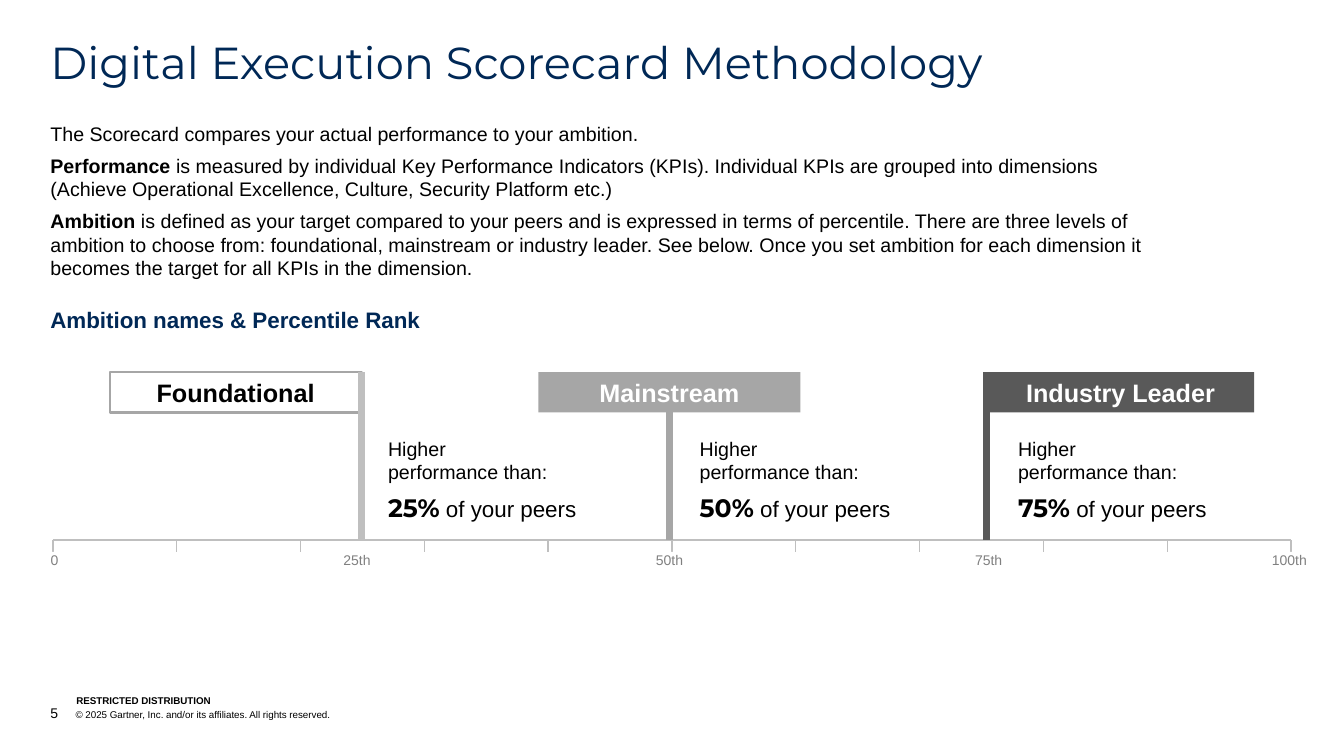
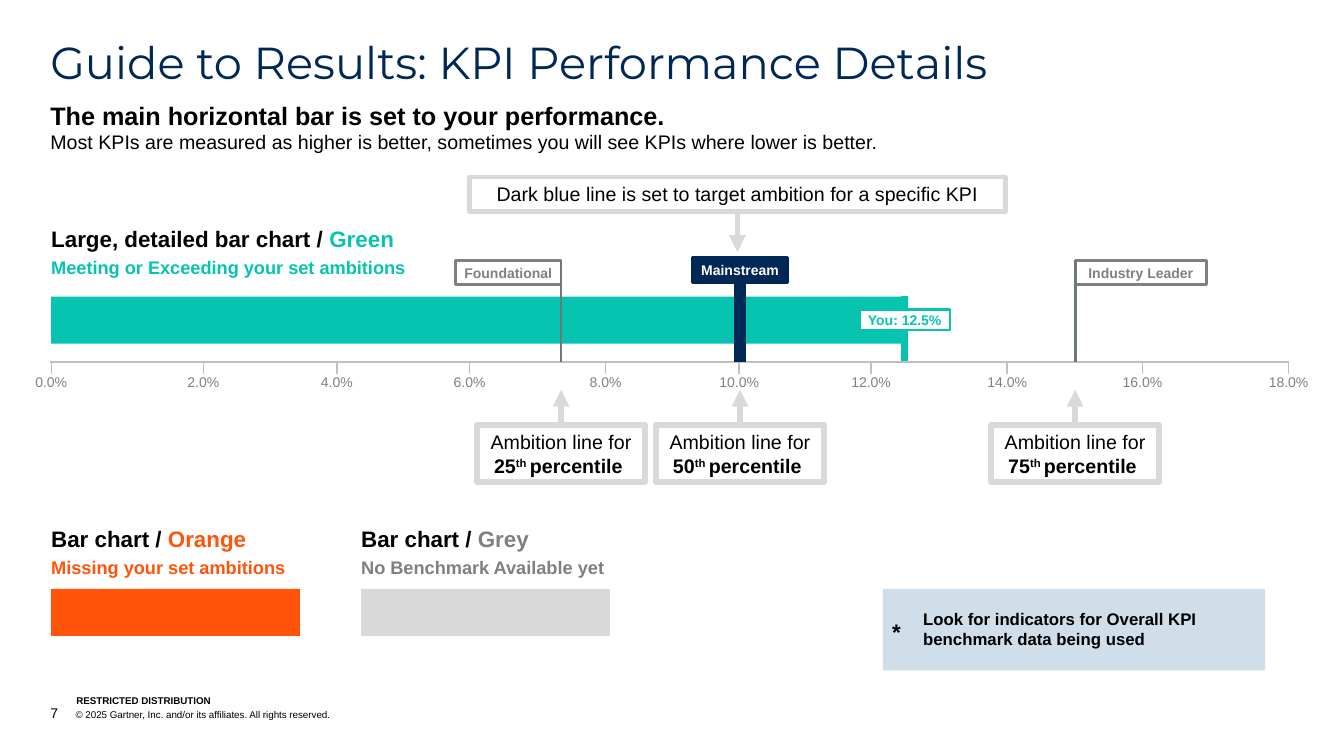
from collections import namedtuple
from copy import deepcopy

from lxml.etree import SubElement
from pptx import Presentation
from pptx.dml.color import RGBColor
from pptx.enum.shapes import MSO_CONNECTOR, MSO_SHAPE
from pptx.enum.text import MSO_ANCHOR as Anchor, PP_ALIGN as Align
from pptx.oxml.ns import qn
from pptx.util import Inches, Pt

SLIDE_WIDTH, SLIDE_HEIGHT = Inches(13.333), Inches(7.5)
COLUMN, ROW = SLIDE_WIDTH / 160, SLIDE_HEIGHT / 90
MARGIN = 6

BODY_FONT, TITLE_FONT = "Arial", "Montserrat"
BLACK, WHITE, NAVY = "000000", "FFFFFF", "002856"
GREEN, ORANGE, PALE_BLUE = "06C4B0", "FF540A", "D0DEEA"
CHARCOAL, SLATE, GREY = "595959", "6F7878", "808080"
MID_GREY, AXIS_GREY, LIGHT_GREY = "A6A6A6", "BFBFBF", "D9D9D9"

BAR_HEIGHT = 5.6
TICK_HEIGHT = 1.4

# Boxes are measured in grid columns and rows.
Box = namedtuple("Box", "left top width height")
Flag = namedtuple("Flag", "label pole width share fill border pole_color text_color")


def color(hex_string):
    return RGBColor.from_string(hex_string)


def to_emu(box):
    return (round(box.left * COLUMN), round(box.top * ROW),
            round(box.width * COLUMN), round(box.height * ROW))


def style_run(run, size, font, text_color, bold, baseline=0):
    run.font.size, run.font.name, run.font.bold = Pt(size), font, bold
    run.font.color.rgb = color(text_color)
    if baseline:
        run.font._element.set("baseline", str(baseline * 1000))


def write(shape, *paragraphs, size=14, font=BODY_FONT, text_color=BLACK, bold=False,
          align=Align.LEFT, anchor=Anchor.TOP, insets=(0, 0.05, 0, 0.05),
          line_spacing=None, hanging=0):
    """Fill a shape; a paragraph is a string or a list of strings and (text, format) runs."""
    frame = shape.text_frame
    frame.word_wrap, frame.vertical_anchor = True, anchor
    (frame.margin_left, frame.margin_top,
     frame.margin_right, frame.margin_bottom) = map(Inches, insets)
    base = dict(size=size, font=font, text_color=text_color, bold=bold)
    for index, content in enumerate(paragraphs):
        paragraph = frame.add_paragraph() if index else frame.paragraphs[0]
        paragraph.alignment = align
        if index:
            paragraph.space_before = Pt(6)
        if line_spacing:
            paragraph.line_spacing = line_spacing
        if hanging:
            properties = paragraph._p.get_or_add_pPr()
            properties.set("marL", str(Inches(hanging)))
            properties.set("indent", str(-Inches(hanging)))
        for item in [content] if isinstance(content, str) else content:
            text, changes = (item, {}) if isinstance(item, str) else item
            for line_index, line in enumerate(text.split("\n")):
                if line_index:
                    paragraph.add_line_break()
                    paragraph._p[-1].append(deepcopy(run._r.rPr))
                run = paragraph.add_run()
                run.text = line
                style_run(run, **{**base, **changes})


def add_text(slide, box, *paragraphs, **text_format):
    write(slide.shapes.add_textbox(*to_emu(box)), *paragraphs, **text_format)


def add_box(slide, box, *paragraphs, fill=WHITE, border=None, border_width=2, **text_format):
    shape = slide.shapes.add_shape(MSO_SHAPE.RECTANGLE, *to_emu(box))
    shape.shadow.inherit = False
    shape.fill.solid()
    shape.fill.fore_color.rgb = color(fill)
    if border:
        shape.line.color.rgb = color(border)
        shape.line.width = Pt(border_width)
    else:
        shape.line.fill.background()
    if paragraphs:
        write(shape, *paragraphs, **text_format)
    return shape


def add_line(slide, start, end, line_color, width=1, joined=None, arrow=False):
    """Draw a line between two grid points; joined is the (shape, side) it starts from."""
    points = [round(value * unit) for point in (start, end)
              for value, unit in zip(point, (COLUMN, ROW))]
    line = slide.shapes.add_connector(MSO_CONNECTOR.STRAIGHT, *points)
    line.line.color.rgb = color(line_color)
    line.line.width = Pt(width)
    if arrow:
        SubElement(line.line._get_or_add_ln(), qn("a:tailEnd"), type="triangle")
    SubElement(line._element.spPr, qn("a:effectLst"))
    if joined:
        line.begin_connect(*joined)


def start_slide(presentation, title, number):
    """Add a blank slide with the shared title and footer."""
    slide = presentation.slides.add_slide(presentation.slide_layouts[6])
    flush = dict(insets=(0, 0, 0, 0))
    add_text(slide, Box(MARGIN, 4.8, 148, 5.9), title, size=32, font=TITLE_FONT,
             text_color=NAVY, line_spacing=0.9, **flush)
    add_text(slide, Box(9.1, 82.7, 30.4, 1.4), "RESTRICTED DISTRIBUTION",
             size=7, bold=True, anchor=Anchor.BOTTOM, **flush)
    add_text(slide, Box(MARGIN, 83.9, 96, 2),
             [(str(number), dict(size=10)),
              "\t© 2025 Gartner, Inc. and/or its affiliates. All rights reserved."],
             size=7, anchor=Anchor.BOTTOM, hanging=0.25, **flush)
    return slide


def draw_scale(slide, box, ticks, labels):
    """Draw an axis on the box's top edge; labels are (offset, text) pairs."""
    axis_end = box.left + box.width
    add_line(slide, (box.left, box.top), (axis_end, box.top), AXIS_GREY)
    for tick in ticks:
        x = box.left + tick
        add_line(slide, (x, box.top + TICK_HEIGHT), (x, box.top), AXIS_GREY)
    for offset, text in labels:
        label_box = Box(box.left + offset - 2.8, box.top + TICK_HEIGHT, 5.6,
                        box.height - TICK_HEIGHT)
        add_box(slide, label_box, text, size=10, text_color=GREY,
                align=Align.CENTER, insets=(0, 0, 0, 0))


def draw_flag(slide, flag, top, height, axis, size, pole_width):
    """Hang a flag on its pole: share 1 ends at the pole, 0.5 is centred, 0 starts there."""
    box = Box(flag.pole - flag.share * flag.width, top, flag.width, height)
    shape = add_box(slide, box, flag.label, fill=flag.fill, border=flag.border,
                    size=size, text_color=flag.text_color, bold=True,
                    align=Align.CENTER, anchor=Anchor.MIDDLE)
    centred = flag.share == 0.5
    add_line(slide, (flag.pole, top + height if centred else top), (flag.pole, axis),
             flag.pole_color, pole_width, joined=(shape, 2) if centred else None)


def draw_peer_share(slide, box, percent):
    add_text(slide, Box(box.left, box.top + 4.5, box.width, 5.4),
             [(percent, dict(size=18, font=TITLE_FONT, bold=True)), " of your peers"],
             size=16, anchor=Anchor.MIDDLE, line_spacing=2, insets=(0, 0, 0, 0))
    add_text(slide, Box(box.left, box.top, 24, 6.8), "Higher\nperformance than:")


def draw_legend(slide, box, heading, color_name, caption, text_color, bar_color):
    """Put heading and caption at the top of the box and a bar at its bottom."""
    bar_top = box.top + box.height - BAR_HEIGHT
    add_box(slide, Box(box.left, bar_top, box.width, BAR_HEIGHT), fill=bar_color)
    add_text(slide, Box(box.left, box.top, 43, 4.4),
             [heading + " / ", (color_name, dict(text_color=text_color))],
             size=16, bold=True)
    add_text(slide, Box(box.left, box.top + 3.75, 48, 3.8), caption,
             size=13, bold=True, text_color=text_color)


def draw_ambition_note(slide, box, percentile, tip):
    shape = add_box(slide, box,
                    ["Ambition line for ", (percentile, dict(bold=True)),
                     ("th ", dict(bold=True, baseline=30)),
                     ("percentile ", dict(bold=True))],
                    border=LIGHT_GREY, border_width=4.25, align=Align.CENTER)
    middle = box.left + box.width / 2
    add_line(slide, (middle, box.top), (middle, tip), LIGHT_GREY, 4,
             joined=(shape, 0), arrow=True)


def draw_target_note(slide, box, tip):
    shape = add_box(slide, box, "Dark blue line is set to target ambition for a specific KPI",
                    border=LIGHT_GREY, border_width=3, align=Align.CENTER)
    middle = box.left + box.width / 2
    add_line(slide, (middle, box.top + box.height), (middle, tip), LIGHT_GREY, 4,
             joined=(shape, 2), arrow=True)


def draw_indicator_note(slide, box):
    add_box(slide, box, "Look for indicators for Overall KPI benchmark data being used",
            fill=PALE_BLUE, size=12, bold=True, insets=(0.4, 0.2, 0.3, 0.2))
    add_text(slide, Box(box.left + 1.1, box.top + 2.9, 1.9, 4.4), "*", size=16, bold=True)


def build_methodology(presentation):
    slide = start_slide(presentation, "Digital Execution Scorecard Methodology", 5)
    strong = dict(bold=True)
    add_text(
        slide, Box(MARGIN, 13.9, 137.6, 20.2),
        "The Scorecard compares your actual performance to your ambition.",
        [("Performance", strong),
         " is measured by individual Key Performance Indicators (KPIs). Individual KPIs are "
         "grouped into dimensions\n(Achieve Operational Excellence, Culture, Security "
         "Platform etc.)"],
        [("Ambition", strong),
         " is defined as your target compared to your peers and is expressed in terms of "
         "percentile. There are three levels of ambition to choose from: foundational, "
         "mainstream or industry leader. See below. Once you set ambition for each dimension "
         "it becomes the target for all KPIs in the dimension."])
    add_text(slide, Box(MARGIN, 35.9, 56.4, 8.3), "Ambition names & Percentile Rank",
             size=16, bold=True, text_color=NAVY)

    scale = Box(6.3, 64.3, 147.4, 3.7)
    draw_scale(slide, scale, [step * scale.width / 10 for step in range(11)],
               zip((0.2, 36.2, 73.4, 111.4, 147.2), ("0", "25th", "50th", "75th", "100th")))
    flags = (
        Flag("Foundational", 43, 29.9, 1, WHITE, MID_GREY, AXIS_GREY, BLACK),
        Flag("Mainstream", 79.7, 31.2, 0.5, MID_GREY, None, MID_GREY, WHITE),
        Flag("Industry Leader", 117.5, 31.8, 0, CHARCOAL, None, CHARCOAL, WHITE),
    )
    for flag, percent, gap in zip(flags, ("25%", "50%", "75%"), (3.2, 3.6, 3.7)):
        draw_flag(slide, flag, 44.3, 4.8, scale.top, size=18, pole_width=5)
        draw_peer_share(slide, Box(flag.pole + gap, 51.4, 28, 9.9), percent)


def build_results_guide(presentation):
    slide = start_slide(presentation, "Guide to Results: KPI Performance Details", 7)
    add_text(slide, Box(MARGIN, 11.3, 138.6, 7.7),
             [("The main horizontal bar is set to your performance. \n",
               dict(size=18, bold=True)),
              "Most KPIs are measured as higher is better, sometimes you will see KPIs "
              "where lower is better."])
    draw_target_note(slide, Box(55.9, 21.1, 63.8, 4.1), tip=30)

    legends = (
        (Box(6.1, 26.2, 101.5, 14.7), "Large, detailed bar chart", "Green",
         "Meeting or Exceeding your set ambitions", GREEN, GREEN),
        (Box(6.1, 61.9, 29.6, 13.8), "Bar chart", "Orange",
         "Missing your set ambitions", ORANGE, ORANGE),
        (Box(43, 61.9, 29.6, 13.8), "Bar chart", "Grey",
         "No Benchmark Available yet", GREY, LIGHT_GREY),
    )
    for legend in legends:
        draw_legend(slide, *legend)

    scale = Box(MARGIN, 43.1, 147.5, 3.7)
    ticks = (0.1, 18.2, 34.1, 49.9, 66.1, 82, 97.7, 113.9, 130, 147.4)
    draw_scale(slide, scale, ticks,
               [(tick, f"{2 * index}.0%") for index, tick in enumerate(ticks)])
    flags = (
        (Flag("Foundational", 66.8, 12.6, 1, WHITE, GREY, SLATE, GREY), 31, 2, "25"),
        (Flag("Mainstream", 88.1, 11.3, 0.5, NAVY, NAVY, NAVY, WHITE), 30.7, 9, "50"),
        (Flag("Industry Leader", 128, 15.6, 0, WHITE, GREY, SLATE, GREY), 31, 2, "75"),
    )
    for flag, top, pole_width, percentile in flags:
        draw_flag(slide, flag, top, 2.9, scale.top, size=10, pole_width=pole_width)
        draw_ambition_note(slide, Box(flag.pole - 10, 50.6, 20, 6.8), percentile, tip=46.4)

    add_line(slide, (107.7, 35.3), (107.7, 43), GREEN, 5)
    add_box(slide, Box(102.3, 36.8, 10.8, 2.5), "You: 12.5%", border=GREEN, size=10,
            bold=True, text_color=GREEN, align=Align.CENTER, anchor=Anchor.MIDDLE)
    draw_indicator_note(slide, Box(105.1, 70.1, 45.5, 9.7))


def main():
    presentation = Presentation()
    presentation.slide_width, presentation.slide_height = SLIDE_WIDTH, SLIDE_HEIGHT
    build_methodology(presentation)
    build_results_guide(presentation)
    presentation.save("out.pptx")


if __name__ == "__main__":
    main()
